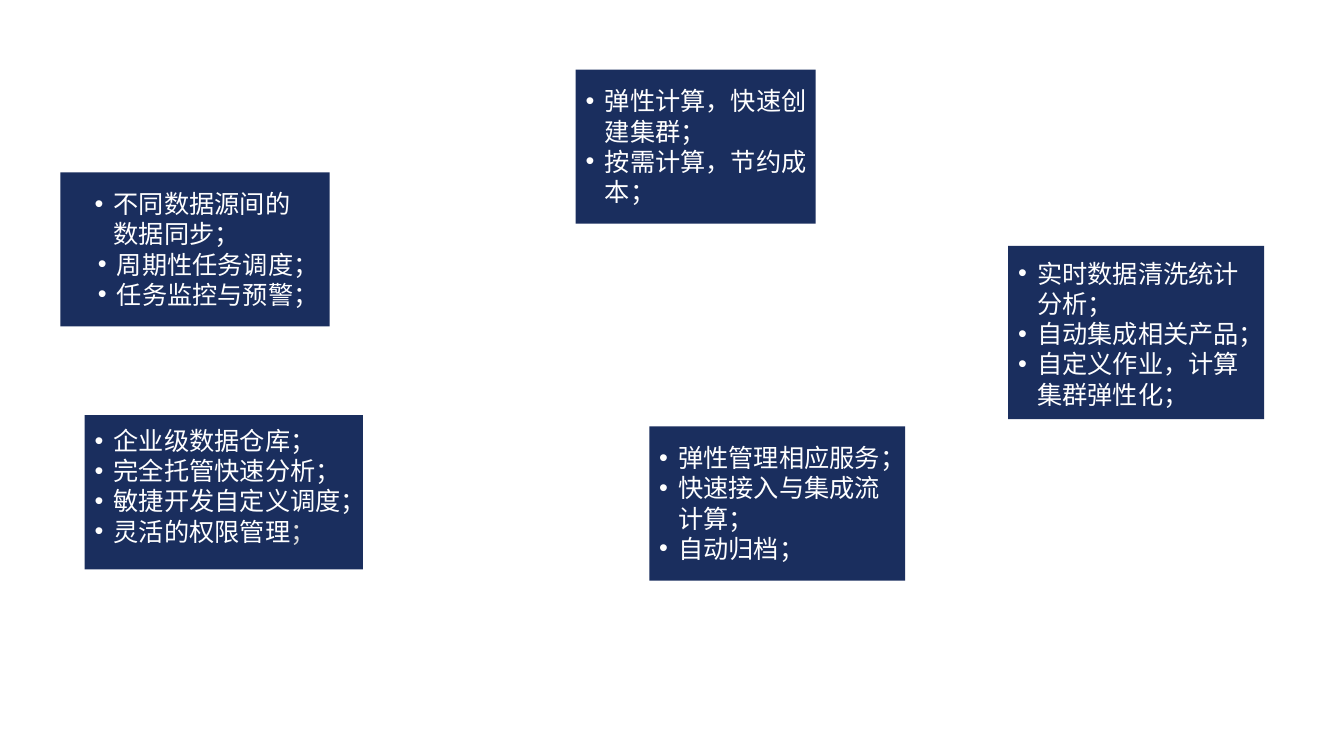
"""Build a slide of five dark panels, each holding a short bulleted list."""
from dataclasses import dataclass

from lxml import etree
from pptx import Presentation
from pptx.dml.color import RGBColor
from pptx.enum.shapes import MSO_SHAPE
from pptx.enum.text import MSO_AUTO_SIZE, PP_ALIGN
from pptx.oxml.ns import qn
from pptx.util import Inches, Pt

RECT = MSO_SHAPE.RECTANGLE
LEFT, CENTER = PP_ALIGN.LEFT, PP_ALIGN.CENTER
FIT = MSO_AUTO_SIZE.SHAPE_TO_FIT_TEXT
WIDTH, HEIGHT = Inches(13.33), Inches(7.5)


@dataclass(frozen=True)
class Theme:
    """Colours, fonts and sizes of the slide."""
    panel: RGBColor = RGBColor(0x1A, 0x2E, 0x5E)
    text: RGBColor = RGBColor(0xFF, 0xFF, 0xFF)
    muted: RGBColor = RGBColor(0xD9, 0xD9, 0xD9)
    font: str = "Noto Sans CJK SC"
    latin: str = "Calibri"
    size: Pt = Pt(18)
    indent: Inches = Inches(0.19)


THEME = Theme()


@dataclass(frozen=True)
class Panel:
    """A panel and its list, in percent of the slide's width and height."""
    box: tuple
    text_box: tuple
    items: tuple


def item(text, align=LEFT, tail=""):
    """Return one list item as text, alignment and muted ending."""
    return text, align, tail


PANELS = (
    Panel((4.5, 22.8, 20.03, 20.4), (6.3, 24.27, 16.5, 17.47), (
        item("不同数据源间的数据同步；"),
        item("周期性任务调度；", CENTER),
        item("任务监控与预警；", CENTER))),
    Panel((6.3, 54.93, 20.71, 20.4), (6.3, 55.6, 22.13, 17.47), (
        item("企业级数据仓库；"),
        item("完全托管快速分析；"),
        item("敏捷开发自定义调度；"),
        item("灵活的权限管理", tail="；"))),
    Panel((48.31, 56.4, 19.05, 20.4), (48.31, 57.87, 19.05, 17.47), (
        item("弹性管理相应服务；"),
        item("快速接入与集成流计算；"),
        item("自动归档；"))),
    Panel((75.02, 32.53, 19.05, 22.93), (75.02, 33.47, 19.05, 21.6), (
        item("实时数据清洗统计分析；"),
        item("自动集成相关产品；"),
        item("自定义作业，计算集群弹性化；"))),
    Panel((42.84, 9.2, 17.85, 20.4), (42.84, 10.67, 18.38, 17.47), (
        item("弹性计算，快速创建集群；"),
        item("按需计算，节约成本；"))),
)


def place(box):
    """Turn percentages of the slide into left, top, width and height."""
    x, y, w, h = box
    return (int(WIDTH * x / 100), int(HEIGHT * y / 100),
            int(WIDTH * w / 100), int(HEIGHT * h / 100))


def add_panel(slide, box):
    """Add a plain filled rectangle."""
    sp = slide.shapes.add_shape(RECT, *place(box))
    sp.shadow.inherit = False
    sp.fill.solid()
    sp.fill.fore_color.rgb = THEME.panel
    sp.line.fill.background()


def add_run(p, text, color, font):
    """Add one run with its Latin and East Asian fonts."""
    r = p.add_run()
    r.text = text
    r.font.size = THEME.size
    r.font.color.rgb = color
    r.font.name = font
    etree.SubElement(r.font._element, qn("a:ea"), typeface=THEME.font)


def set_bullet(p):
    """Give a paragraph a round bullet and a hanging indent."""
    pPr = p._p.get_or_add_pPr()
    pPr.set("marL", str(THEME.indent))
    pPr.set("indent", str(-THEME.indent))
    etree.SubElement(pPr, qn("a:buFont"), typeface="Arial")
    etree.SubElement(pPr, qn("a:buChar"), char="•")


def add_list(slide, box, items):
    """Add a wrapped text box with one bullet per item."""
    tf = slide.shapes.add_textbox(*place(box)).text_frame
    tf.word_wrap = True
    tf.auto_size = FIT
    for i, (text, align, tail) in enumerate(items):
        p = tf.add_paragraph() if i else tf.paragraphs[0]
        p.alignment = align
        set_bullet(p)
        add_run(p, text, THEME.text, THEME.font)
        if tail:
            add_run(p, tail, THEME.muted, THEME.latin)


def main():
    """Build and save the slide."""
    prs = Presentation()
    prs.slide_width, prs.slide_height = WIDTH, HEIGHT
    slide = prs.slides.add_slide(prs.slide_layouts[6])
    for panel in PANELS:
        add_panel(slide, panel.box)
        add_list(slide, panel.text_box, panel.items)
    prs.save("out.pptx")


main()
